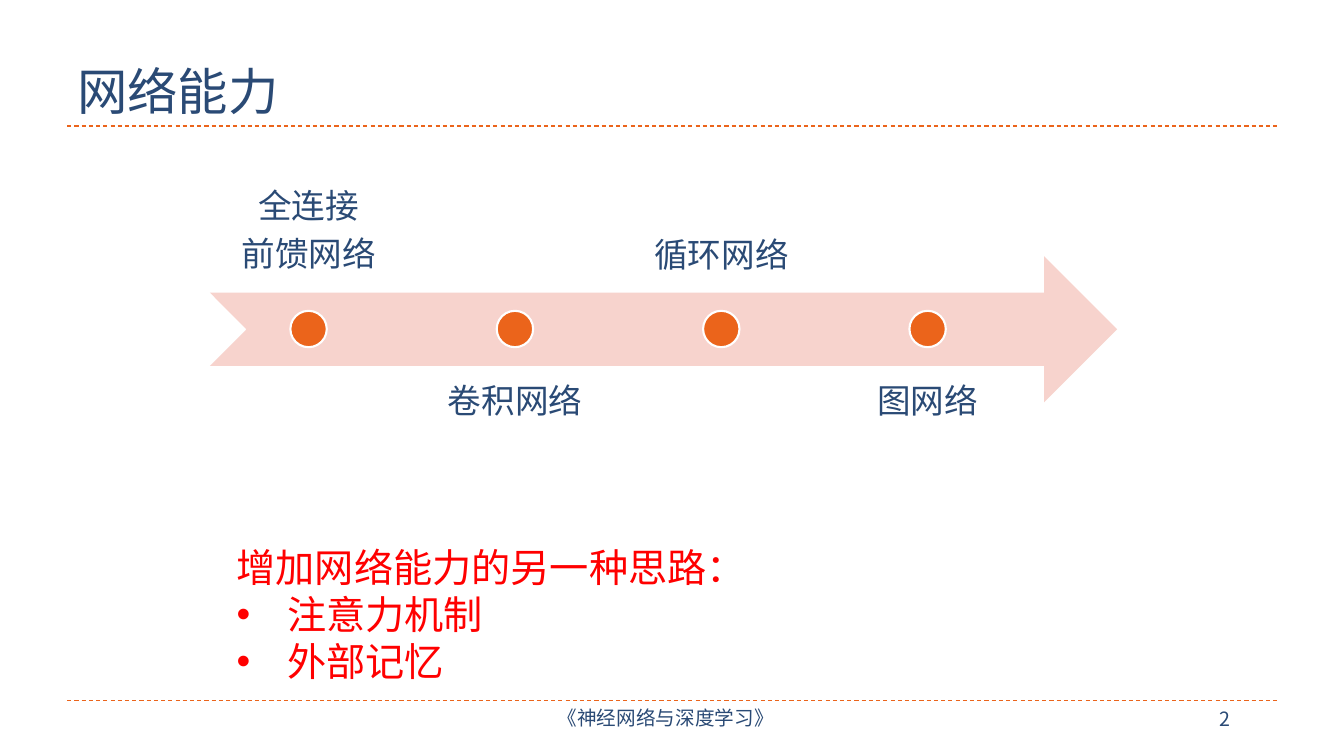
from lxml import etree
from pptx import Presentation
from pptx.dml.color import RGBColor
from pptx.enum.dml import MSO_LINE
from pptx.enum.shapes import MSO_CONNECTOR, MSO_SHAPE
from pptx.enum.text import MSO_ANCHOR as Anchor, PP_ALIGN as Align
from pptx.oxml.ns import qn
from pptx.util import Pt

COLORS = {"navy": "2A4A75", "orange": "EB641B", "pink": "F7D3CD",
          "red": "FF0000", "white": "FFFFFF"}
CJK = "Noto Sans CJK SC"


def add_text(box, lines, size, color, font=CJK, align=Align.LEFT,
             anchor=Anchor.TOP, margins=(7.2, 3.6), wrap=True):
    left, top, width, height = map(Pt, box)
    frame = slide.shapes.add_textbox(left, top, width, height).text_frame
    frame.word_wrap = wrap
    frame.vertical_anchor = anchor
    frame.margin_left = frame.margin_right = Pt(margins[0])
    frame.margin_top = frame.margin_bottom = Pt(margins[1])
    frame.text = "\n".join(lines)
    for paragraph in frame.paragraphs:
        paragraph.alignment = align
        for run in paragraph.runs:
            run.font.size = Pt(size)
            run.font.name = font
            run.font.color.rgb = RGBColor.from_string(COLORS[color])
            etree.SubElement(run.font._element, qn("a:ea"), typeface=CJK)
    return frame.paragraphs


def add_filled(kind, box, color):
    shape = slide.shapes.add_shape(kind, *map(Pt, box))
    shape.shadow.inherit = False
    shape.fill.solid()
    shape.fill.fore_color.rgb = RGBColor.from_string(COLORS[color])
    shape.line.fill.background()
    return shape


deck = Presentation()
deck.slide_width, deck.slide_height = Pt(960), Pt(540)
slide = deck.slides.add_slide(deck.slide_layouts[6])

# Dashed rules under the title and above the footer
for rule_y in (90, 500.4):
    rule = slide.shapes.add_connector(
        MSO_CONNECTOR.STRAIGHT, Pt(48), Pt(rule_y), Pt(912), Pt(rule_y))
    rule.line.color.rgb = RGBColor.from_string(COLORS["orange"])
    rule.line.width = Pt(0.75)
    rule.line.dash_style = MSO_LINE.DASH
    etree.SubElement(rule._element.spPr, qn("a:effectLst"))

# Footer and title
add_text((319.7, 501.1, 311.8, 28.8), ["《神经网络与深度学习》"], 14, "navy",
         align=Align.CENTER, margins=(5, 2.9))
add_text((864, 501.1, 29.5, 24.5), ["2"], 14, "navy", wrap=False)
add_text((48, 12.2, 864, 77.8), ["网络能力"], 36, "navy", anchor=Anchor.BOTTOM)

# Timeline arrow with labels alternating above and below
add_filled(MSO_SHAPE.NOTCHED_RIGHT_ARROW, (150, 183, 648, 104.4), "pink")
networks = [["全连接", "前馈网络"], ["卷积网络"], ["循环网络"], ["图网络"]]
for i, network in enumerate(networks):
    offset = i * 147.4
    above = i % 2 == 0
    label = add_text((150.3 + offset, 105 if above else 261.4, 140.4, 104.4),
                     network, 24, "navy", font="Roboto", align=Align.CENTER,
                     anchor=Anchor.BOTTOM if above else Anchor.TOP,
                     margins=(13.7, 13.7))
    for paragraph in label:
        paragraph.line_spacing = 0.9
        after = etree.SubElement(paragraph._p.get_or_add_pPr(), qn("a:spcAft"))
        etree.SubElement(after, qn("a:spcPct"), val="35000")
    dot = add_filled(MSO_SHAPE.OVAL, (207.4 + offset, 222, 26, 26), "orange")
    dot.line.color.rgb = RGBColor.from_string(COLORS["white"])
    dot.line.width = Pt(1.5)

# Another way to raise network capacity
ideas = add_text((162, 384.5, 606.2, 108.7),
                 ["增加网络能力的另一种思路：", "注意力机制", "外部记忆"],
                 28, "red", font="Arial")
for idea in ideas[1:]:
    properties = idea._p.get_or_add_pPr()
    properties.set("marL", str(Pt(36)))
    properties.set("indent", str(Pt(-36)))
    etree.SubElement(properties, qn("a:buFont"), typeface="Arial")
    etree.SubElement(properties, qn("a:buChar"), char="•")

deck.save("out.pptx")
